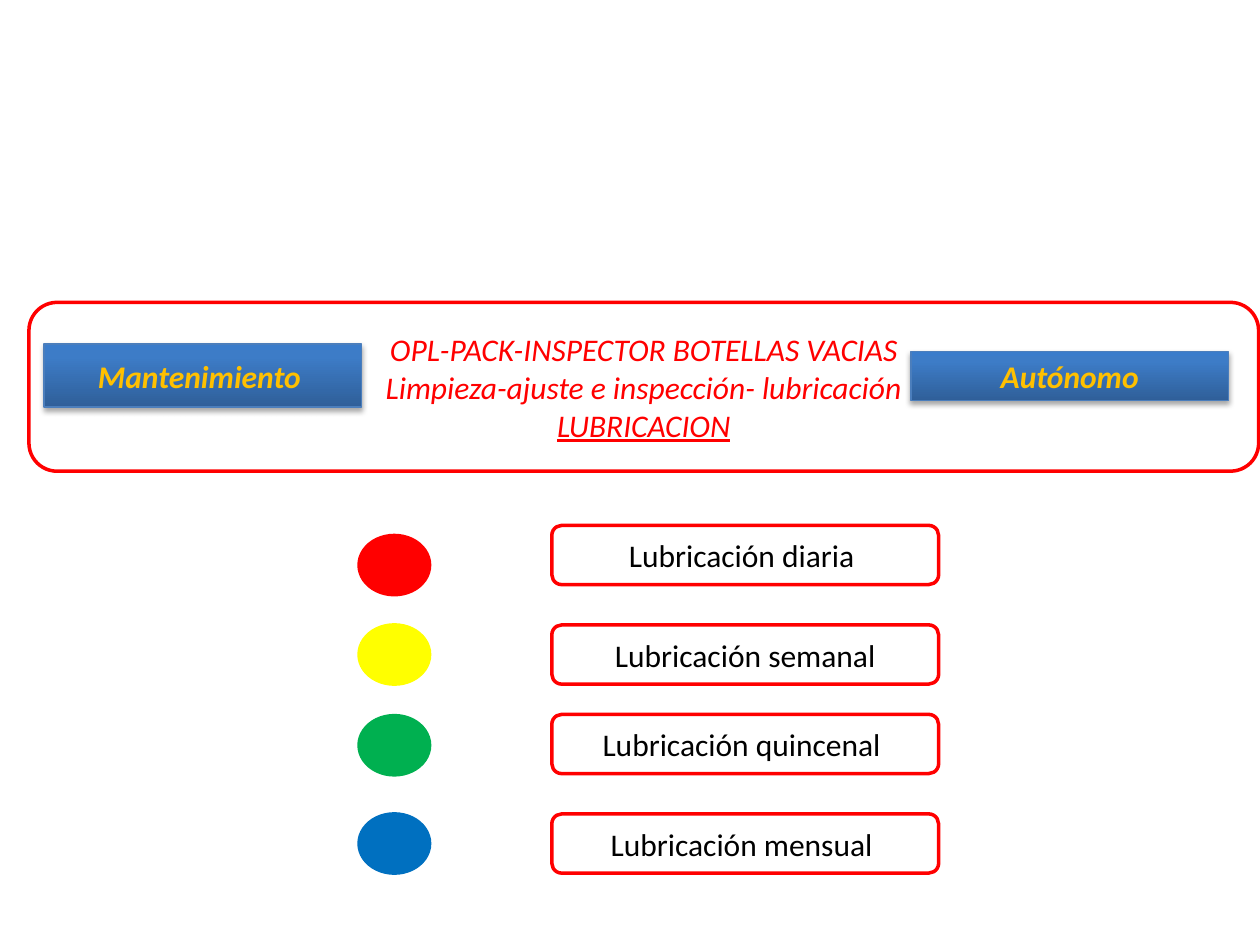
"""Build the lubrication colour-code slide for autonomous maintenance."""
from copy import deepcopy
from dataclasses import dataclass

from lxml.etree import SubElement
from pptx import Presentation
from pptx.dml.color import RGBColor as Rgb
from pptx.enum.shapes import MSO_SHAPE as Shape
from pptx.enum.text import MSO_ANCHOR as Anchor, PP_ALIGN as Align
from pptx.oxml.ns import qn
from pptx.util import Inches, Pt


@dataclass(frozen=True)
class Theme:
    font: str = "Calibri"
    text_size: float = 18
    outline: float = 2
    tag_outline: float = 0.75
    white: str = "FFFFFF"
    black: str = "000000"
    red: str = "FF0000"
    yellow: str = "FFFF00"
    green: str = "00B050"
    blue: str = "0070C0"
    gold: str = "FFC000"
    tag_line: str = "4B7EBC"
    tag_gradient: tuple = ((0, "2F5F99"), (0.8, "3D7CC7"), (1, "3A7CCB"))


@dataclass(frozen=True)
class Box:
    left: float
    top: float
    width: float
    height: float


@dataclass(frozen=True)
class Line:
    text: str
    color: str
    bold: bool = False
    italic: bool = False
    underline: bool = False


@dataclass(frozen=True)
class Frequency:
    label: str
    color: str
    dot_top: float
    label_top: float


@dataclass(frozen=True)
class Tag:
    text: str
    box: Box


THEME = Theme()
HEADER = Box(0.23, 2.4, 9.76, 1.34)
HEADER_LINES = (
    Line("OPL-PACK-INSPECTOR BOTELLAS VACIAS", THEME.red, italic=True),
    Line("Limpieza-ajuste e inspección- lubricación", THEME.red, italic=True),
    Line("LUBRICACION", THEME.red, italic=True, underline=True),
)
FREQUENCIES = (
    Frequency("Lubricación diaria ", THEME.red, 4.25, 4.17),
    Frequency("Lubricación semanal", THEME.yellow, 4.96, 4.96),
    Frequency("Lubricación quincenal ", THEME.green, 5.68, 5.67),
    Frequency("Lubricación mensual ", THEME.blue, 6.46, 6.46),
)
TAGS = (
    Tag(" Autónomo ", Box(7.23, 2.79, 2.52, 0.39)),
    Tag("Mantenimiento ", Box(0.35, 2.73, 2.52, 0.5)),
)
DOT_LEFT, DOT_WIDTH = 2.85, 0.56
LABEL_LEFT, LABEL_WIDTH = 4.38, 3.07
ROW_HEIGHT = 0.47


def add_box(slide, kind: Shape, box: Box, fill: str, line: str, weight: float = THEME.outline):
    """Add a filled, outlined shape without shadow."""
    shape = slide.shapes.add_shape(
        kind, Inches(box.left), Inches(box.top), Inches(box.width), Inches(box.height)
    )
    shape.shadow.inherit = False
    shape.fill.solid()
    shape.fill.fore_color.rgb = Rgb.from_string(fill)
    shape.line.color.rgb = Rgb.from_string(line)
    shape.line.width = Pt(weight)
    return shape


def write_lines(shape, lines: tuple[Line, ...]) -> None:
    """Write centred lines, one paragraph each."""
    frame = shape.text_frame
    frame.word_wrap = True
    frame.vertical_anchor = Anchor.MIDDLE
    for index, line in enumerate(lines):
        paragraph = frame.add_paragraph() if index else frame.paragraphs[0]
        paragraph.alignment = Align.CENTER
        run = paragraph.add_run()
        run.text = line.text
        font = run.font
        font.name, font.size = THEME.font, Pt(THEME.text_size)
        font.color.rgb = Rgb.from_string(line.color)
        font.bold, font.italic, font.underline = line.bold, line.italic, line.underline


def apply_gradient(shape) -> None:
    """Fill the shape with the tag gradient, running upwards."""
    shape.fill.gradient()
    shape.fill.gradient_angle = 90
    stop_list = shape._element.spPr.find(qn("a:gradFill")).find(qn("a:gsLst"))
    stop_list.append(deepcopy(stop_list[-1]))
    for stop, (position, color) in zip(shape.fill.gradient_stops, THEME.tag_gradient):
        stop.position = position
        stop.color.rgb = Rgb.from_string(color)


def apply_shadow(shape) -> None:
    """Give the shape a soft shadow below."""
    effects = shape._element.spPr.find(qn("a:effectLst"))
    shadow = SubElement(
        effects, qn("a:outerShdw"), blurRad=str(Pt(3.1)), dist=str(Pt(1.8)),
        dir="5400000", rotWithShape="0",
    )
    color = SubElement(shadow, qn("a:srgbClr"), val=THEME.black)
    SubElement(color, qn("a:alpha"), val="35000")


def add_frequency(slide, item: Frequency) -> None:
    """Add a colour dot and its label."""
    dot = Box(DOT_LEFT, item.dot_top, DOT_WIDTH, ROW_HEIGHT)
    add_box(slide, Shape.OVAL, dot, item.color, item.color)
    label_box = Box(LABEL_LEFT, item.label_top, LABEL_WIDTH, ROW_HEIGHT)
    label = add_box(slide, Shape.ROUNDED_RECTANGLE, label_box, THEME.white, THEME.red)
    write_lines(label, (Line(item.label, THEME.black),))


def add_tag(slide, tag: Tag) -> None:
    """Add a gradient tag with gold text."""
    shape = add_box(slide, Shape.RECTANGLE, tag.box, THEME.blue, THEME.tag_line, THEME.tag_outline)
    apply_gradient(shape)
    apply_shadow(shape)
    write_lines(shape, (Line(tag.text, THEME.gold, bold=True, italic=True),))


def main() -> None:
    """Build and save the slide."""
    presentation = Presentation()
    presentation.slide_width, presentation.slide_height = Inches(10), Inches(7.5)
    slide = presentation.slides.add_slide(presentation.slide_layouts[6])
    header = add_box(slide, Shape.ROUNDED_RECTANGLE, HEADER, THEME.white, THEME.red)
    write_lines(header, HEADER_LINES)
    for item in FREQUENCIES:
        add_frequency(slide, item)
    for tag in TAGS:
        add_tag(slide, tag)
    presentation.save("out.pptx")


if __name__ == "__main__":
    main()
